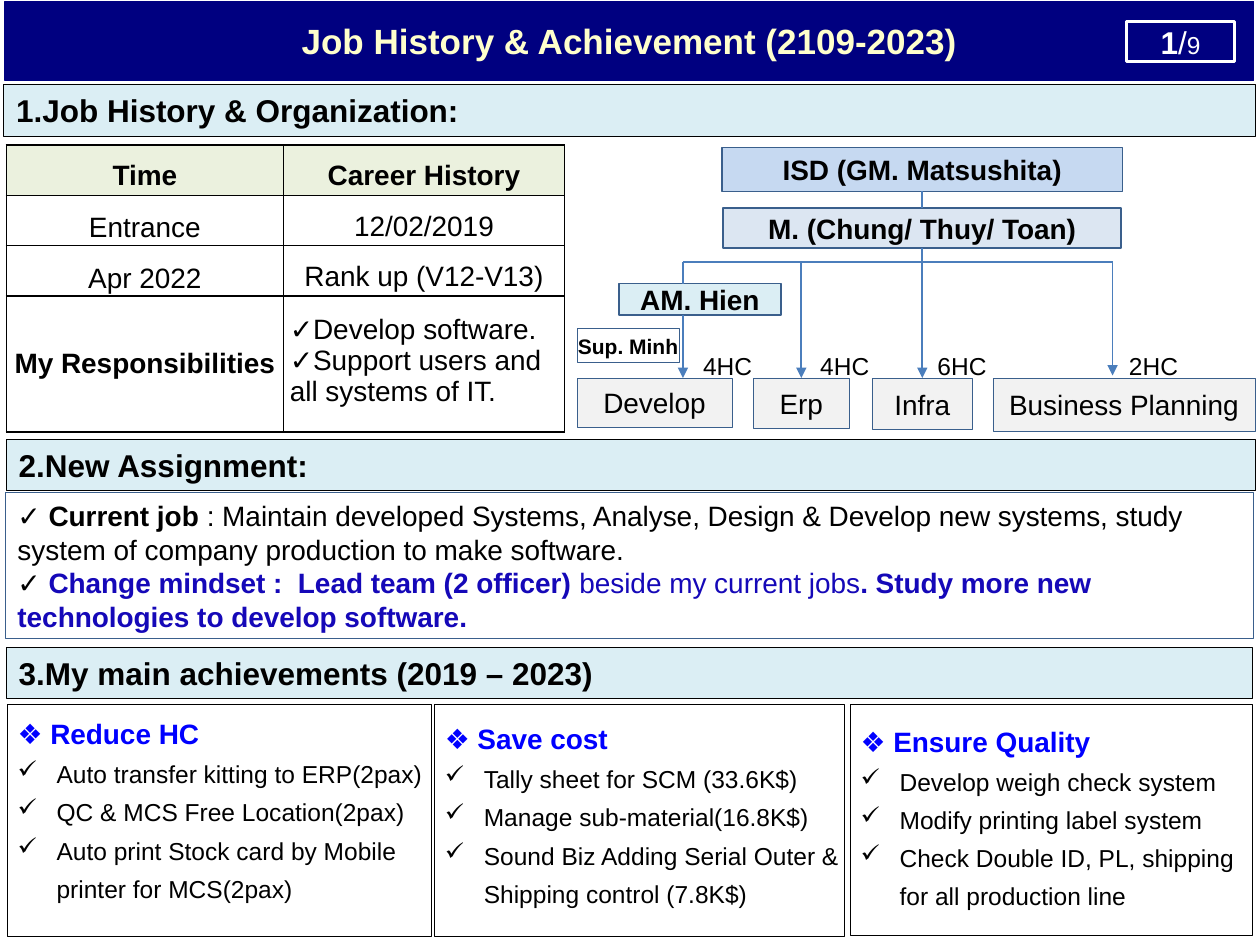
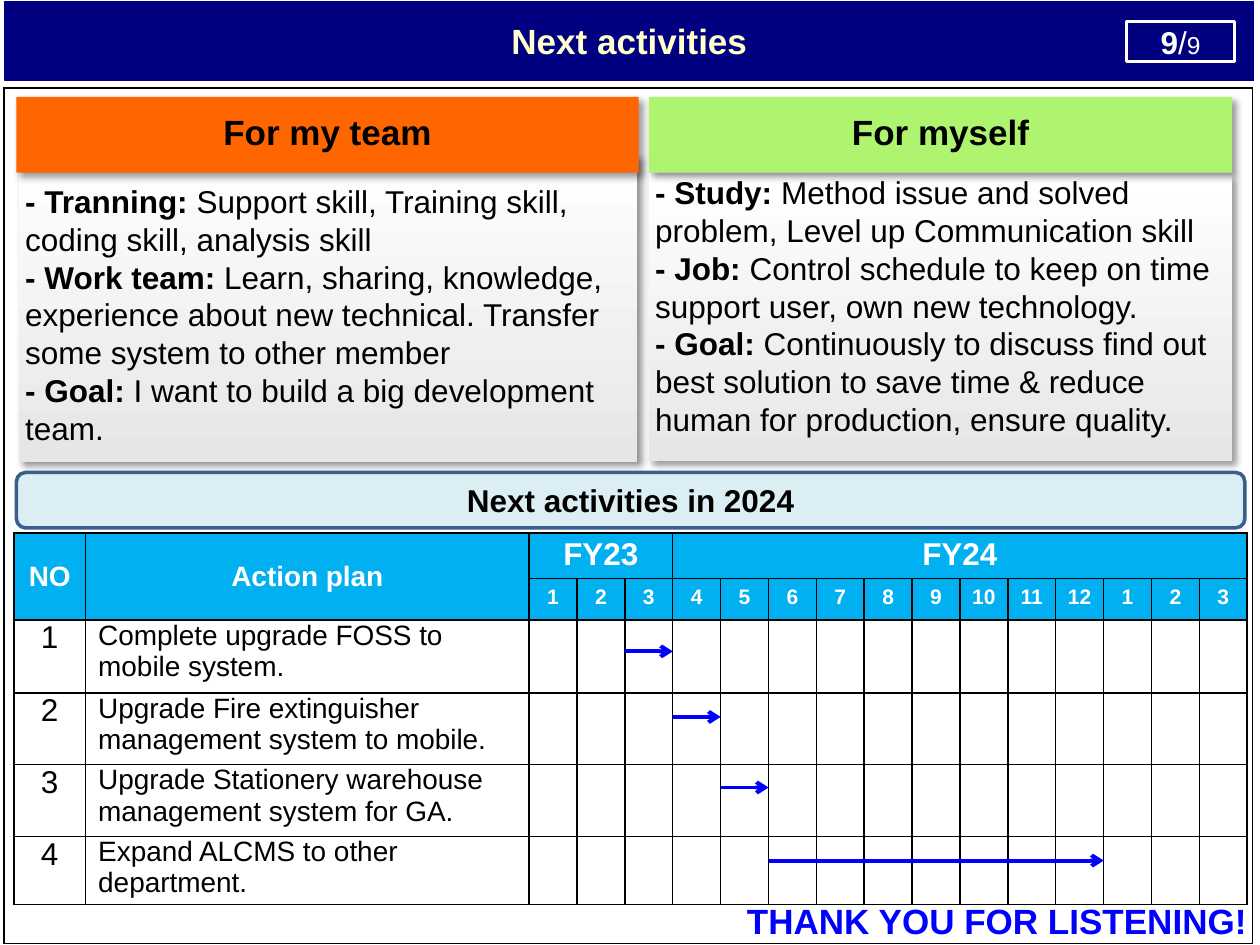
from lxml.etree import Element, SubElement
from pptx import Presentation
from pptx.dml.color import RGBColor
from pptx.enum.shapes import MSO_CONNECTOR as Link, MSO_SHAPE as Kind
from pptx.enum.text import MSO_ANCHOR as Anchor, PP_ALIGN as Align
from pptx.oxml.ns import qn
from pptx.util import Inches, Pt

rgb = RGBColor.from_string
FONT = "Arial"
BLACK, WHITE, NAVY, CREAM = "000000", "FFFFFF", "000080", "FFFFCC"
BLUE, INK, EDGE, WIRE = "0000FF", "1508B8", "3A5F8C", "4B7EBC"
PALE, GREY, SKY, OLIVE = "DBEEF4", "F2F2F2", "00B0F0", "EBF1DE"


def write(frame, paras, size=16, bold=False, color=BLACK, align=Align.CENTER, gap=None):
    """Each paragraph is a string or a list of (text, bold[, colour]) runs."""
    for i, para in enumerate(paras):
        p = frame.add_paragraph() if i else frame.paragraphs[0]
        p.alignment = align
        if gap:
            p.line_spacing = gap
        p.font.name, p.font.size = FONT, Pt(size)
        p.font.color.rgb = rgb(color)
        if isinstance(para, str):
            p.font.bold = bold
            p.add_run().text = para
            continue
        for text, heavy, *hue in para:
            run = p.add_run()
            run.text, run.font.bold = text, heavy
            if hue:
                run.font.color.rgb = rgb(hue[0])


def box(slide, at, paras, fill=None, line=None, width=0.25, kind=Kind.RECTANGLE,
        inset=(0.1, 0.05, 0.1, 0.05), anchor=Anchor.MIDDLE, **style):
    place = [Inches(v) for v in at]
    if kind is None:
        shape = slide.shapes.add_textbox(*place)
    else:
        shape = slide.shapes.add_shape(kind, *place)
        shape.shadow.inherit = False
        if fill:
            shape.fill.solid()
            shape.fill.fore_color.rgb = rgb(fill)
        else:
            shape.fill.background()
        if line:
            shape.line.color.rgb = rgb(line)
            shape.line.width = Pt(width)
        else:
            shape.line.fill.background()
    frame = shape.text_frame
    frame.word_wrap, frame.vertical_anchor = True, anchor
    for side, v in zip(("left", "top", "right", "bottom"), inset):
        setattr(frame, "margin_" + side, Inches(v))
    write(frame, paras, **style)
    return shape


deck = Presentation()
deck.slide_width, deck.slide_height = Inches(10), Inches(7.5)

# Title bands with page badges
slides = []
for title, page in (("Job History & Achievement (2109-2023)", "1"),
                    ("Next activities", "9")):
    slide = deck.slides.add_slide(deck.slide_layouts[6])
    box(slide, (0.04, 0.01, 9.91, 0.63), [title], NAVY, NAVY, 0.75,
        size=20, bold=True, color=CREAM)
    badge = box(slide, (8.94, 0.17, 0.86, 0.32), [[(page, True), ("/", False), ("9", False)]],
                None, WHITE, 2, size=18, color=WHITE)
    badge.text_frame.paragraphs[0].runs[-1].font.size = Pt(14)
    slides.append(slide)
job, plan = slides

# Tables: sizes, clear cells and black borders
MONTH = 0.38
grids = []
for slide, x, y, cols, rows in (
        (job, 0.05, 1.15, [2.2, 2.23], [0.4, 0.4, 0.4, 1.08]),
        (plan, 0.03, 0.7, [5.02, 4.89], [6.79]),
        (plan, 0.11, 4.23, [0.57, 3.52] + [MONTH] * 15,
         [0.36, 0.33, 0.58, 0.57, 0.57, 0.54])):
    grid = slide.shapes.add_table(len(rows), len(cols), Inches(x), Inches(y),
                                  Inches(sum(cols)), Inches(sum(rows))).table
    grid.first_row = grid.horz_banding = False
    for col, w in zip(grid.columns, cols):
        col.width = Inches(w)
    for row, h in zip(grid.rows, rows):
        row.height = Inches(h)
    for n, cell in enumerate(grid.iter_cells()):
        cell.margin_left = cell.margin_top = cell.margin_right = cell.margin_bottom = 0
        cell.fill.background()
        for i, side in enumerate("LRTB"):
            edge = Element(qn("a:ln" + side), w=str(Pt(1)))
            if len(rows) == 1 and (n, side) in ((0, "R"), (1, "L")):
                SubElement(edge, qn("a:noFill"))
            else:
                SubElement(SubElement(edge, qn("a:solidFill")), qn("a:srgbClr"), val=BLACK)
            cell._tc.get_or_add_tcPr().insert(i, edge)
    grids.append(grid)
career, outer, chart = grids

# Slide 1: section bars
for at, text in (((0.03, 0.67, 9.93, 0.41), "1.Job History & Organization:"),
                 ((0.05, 3.49, 9.91, 0.4), "2.New Assignment:"),
                 ((0.05, 5.14, 9.89, 0.4), "3.My main achievements (2019 – 2023)")):
    box(job, at, [text], PALE, BLACK, size=18, bold=True, align=Align.LEFT)

# Career table
for r, texts in enumerate((("Time", "Career History"), ("Entrance", "12/02/2019"),
                           ("Apr 2022", "Rank up (V12-V13)"))):
    for c, text in enumerate(texts):
        cell = career.cell(r, c)
        cell.fill.solid()
        cell.fill.fore_color.rgb = rgb(WHITE if r else OLIVE)
        if r and not c:
            cell.vertical_anchor = Anchor.MIDDLE
        write(cell.text_frame, [text], bold=not r, gap=1.5)
duty, tasks = career.cell(3, 0), career.cell(3, 1)
write(duty.text_frame, ["My Responsibilities"], bold=True)
write(tasks.text_frame, ["✓Develop software.", "✓Support users and all systems of IT."],
      align=Align.LEFT)
duty.vertical_anchor = tasks.vertical_anchor = Anchor.MIDDLE
tasks.margin_left = tasks.margin_bottom = Inches(0.05)

# Organization chart
head = box(job, (5.73, 1.17, 3.18, 0.35), ["ISD (GM. Matsushita)"], "C6D9F1", EDGE, 1, bold=True)
chief = box(job, (5.74, 1.65, 3.16, 0.32), ["M. (Chung/ Thuy/ Toan)"], "DCE6F2", EDGE, 1, bold=True)
box(job, (4.91, 2.25, 1.29, 0.25), ["AM. Hien"], PALE, EDGE, 1, bold=True)
box(job, (4.58, 2.61, 0.81, 0.27), ["Sup. Minh"], None, EDGE, 0.5,
    inset=(0, 0, 0, 0), size=12, bold=True)
teams = {}
for name, x, w, h, count, left in (("Develop", 4.58, 1.23, 0.39, "4HC", 5.43),
                                   ("Erp", 5.98, 0.76, 0.4, "4HC", 6.36),
                                   ("Infra", 6.92, 0.8, 0.41, "6HC", 7.29),
                                   ("Business Planning", 7.88, 2.08, 0.42, "2HC", 8.81)):
    teams[name] = box(job, (x, 3, w, h), [name], GREY, EDGE)
    box(job, (left, 2.76, 0.69, 0.28), [count], kind=None, size=14)

# New assignment
box(job, (0.04, 3.91, 9.91, 1.16), [
    [("✓ ", False), ("Current job ", True),
     (": Maintain developed Systems, Analyse, Design & Develop new systems, "
      "study system of company production to make software.", False)],
    [("✓ ", True), ("Change mindset :  Lead team (2 officer) ", True, INK),
     ("beside my current jobs", False, INK),
     (". Study more new technologies to develop software.", True, INK)],
], WHITE, EDGE, align=Align.LEFT)

# Achievement cards
for x, w, h, top, goal, items in (
        (0.06, 3.36, 1.84, 0.02, "❖ Reduce HC",
         ["Auto transfer kitting to ERP(2pax)", "QC & MCS Free Location(2pax)",
          "Auto print Stock card by Mobile printer for MCS(2pax)"]),
        (3.45, 3.25, 1.84, 0.06, "❖ Save cost",
         ["Tally sheet for SCM (33.6K$)", "Manage sub-material(16.8K$)",
          "Sound Biz Adding Serial Outer & Shipping control (7.8K$)"]),
        (6.75, 3.19, 1.83, 0.08, "❖ Ensure Quality",
         ["Develop weigh check system", "Modify printing label system",
          "Check Double ID, PL, shipping for all production line"])):
    card = box(job, (x, 5.59, w, h), [goal, *items], WHITE, BLACK, inset=(0.08, top, 0, 0),
               anchor=Anchor.TOP, size=14, align=Align.LEFT, gap=1.3)
    first, *rest = card.text_frame.paragraphs
    first.font.size, first.font.bold = Pt(16), True
    first.font.color.rgb = rgb(BLUE)
    for p in rest:
        props = p._p.get_or_add_pPr()
        props.set("marL", str(Inches(0.31)))
        props.set("indent", str(-Inches(0.31)))
        props.insert(1, Element(qn("a:buChar"), char="✓"))

# Slide 2: goal panels, body under header
for at, cap, tint, name, low, goals in (
        ((0.15, 1.23, 4.91, 2.44), (0.13, 0.77, 4.94, 0.6), "FF6600", "For my team", 0, [
            ("- Tranning: ", "Support skill, Training skill, coding skill, analysis skill"),
            ("- Work team: ", "Learn, sharing, knowledge, experience about new technical. "
                              "Transfer some system to other member"),
            ("- Goal: ", "I want to build a big development team.")]),
        ((5.15, 1.39, 4.63, 2.27), (5.15, 0.77, 4.63, 0.6), "AEF46E", "For myself", 0.29, [
            ("- Study: ", "Method issue and solved problem, Level up Communication skill"),
            ("- Job: ", "Control schedule to keep on time support user, own new technology."),
            ("- Goal: ", "Continuously to discuss find out best solution to save time & "
                         "reduce human for production, ensure quality.")])):
    body = box(plan, at, [[(a, True), (b, False)] for a, b in goals],
               inset=(0.05, 0.09, 0.05, low), size=18, align=Align.LEFT)
    body.fill.gradient()
    body.fill.gradient_angle = 90
    for stop, hue in zip(body.fill.gradient_stops, ("E6E6E6", WHITE)):
        stop.color.rgb = rgb(hue)
    lid = box(plan, cap, [name], tint, inset=(0.1, 0, 0.1, 0.05), size=20, bold=True)
    for shape in (body, lid):
        shade = SubElement(shape._element.spPr.find(qn("a:effectLst")), qn("a:outerShdw"),
                           blurRad=str(Pt(4)), dist=str(Pt(3)), dir="2700000",
                           algn="tl", rotWithShape="0")
        tone = SubElement(shade, qn("a:srgbClr"), val=BLACK)
        SubElement(tone, qn("a:alpha"), val="40000")

box(plan, (0.13, 3.75, 9.75, 0.44), ["Next activities in 2024"], PALE, EDGE, 2,
    kind=Kind.ROUNDED_RECTANGLE, size=18, bold=True)

# Schedule header: (row, column, last row, last column, text, size)
heads = [(0, 0, 1, 0, "NO", 16), (0, 1, 1, 1, "Action plan", 16),
         (0, 2, 0, 4, "FY23", 18), (0, 5, 0, 16, "FY24", 18)]
heads += [(1, 2 + i, 1, 2 + i, str(i % 12 + 1), 12) for i in range(15)]
for r, c, r2, c2, text, size in heads:
    cell = chart.cell(r, c)
    if (r, c) != (r2, c2):
        cell.merge(chart.cell(r2, c2))
    cell.fill.solid()
    cell.fill.fore_color.rgb = rgb(SKY)
    if r2 > r:
        cell.vertical_anchor = Anchor.MIDDLE
    else:
        cell.margin_top = Inches(0.06 if r else 0.03)
    write(cell.text_frame, [text], size, True, WHITE)

# Schedule rows
for n, text in enumerate(("Complete upgrade FOSS to mobile system.",
                          "Upgrade Fire extinguisher management system to mobile.",
                          "Upgrade Stationery warehouse management system for GA.",
                          "Expand ALCMS to other department."), 1):
    write(chart.cell(n + 1, 0).text_frame, [str(n)], 18)
    cell = chart.cell(n + 1, 1)
    cell.margin_left = Inches(0.1)
    write(cell.text_frame, [text], align=Align.LEFT)

box(plan, (5.83, 7.09, 4.2, 0.44), ["THANK YOU FOR LISTENING!"], kind=None,
    anchor=Anchor.TOP, size=20, bold=True, color=BLUE, align=Align.LEFT)

# Lines and arrows: (slide, x1, y1, x2, y2, arrowhead, start shape, end shape)
lines = [(job, 7.32, 1.52, 7.32, 1.65, None, head, chief),
         (job, 7.32, 1.97, 7.32, 3, "triangle", chief, teams["Infra"]),
         (job, 5.42, 2.08, 8.83, 2.08, None, None, None),
         (job, 5.42, 2.08, 5.42, 2.25, None, None, None),
         (job, 5.42, 2.5, 5.42, 3, "triangle", None, None),
         (job, 6.36, 2.08, 6.36, 3, "triangle", None, teams["Erp"]),
         (job, 8.83, 2.08, 8.83, 2.98, "triangle", None, None)]
for a, b, y in ((2, 3, 5.17), (3, 4, 5.69), (4, 5, 6.25), (5, 12, 6.83)):
    lines.append((plan, 4.2 + a * MONTH, y, 4.2 + b * MONTH, y, "arrow", None, None))
for slide, x1, y1, x2, y2, tip, start, end in lines:
    wire = slide.shapes.add_connector(Link.STRAIGHT, *[Inches(v) for v in (x1, y1, x2, y2)])
    if start:
        wire.begin_connect(start, 2)
    if end:
        wire.end_connect(end, 0)
    wire.line.color.rgb = rgb(WIRE if slide is job else BLUE)
    wire.line.width = Pt(1 if slide is job else 2.25)
    if tip:
        SubElement(wire.line._get_or_add_ln(), qn("a:tailEnd"), type=tip)
    SubElement(wire._element.spPr, qn("a:effectLst"))

deck.save("out.pptx")
